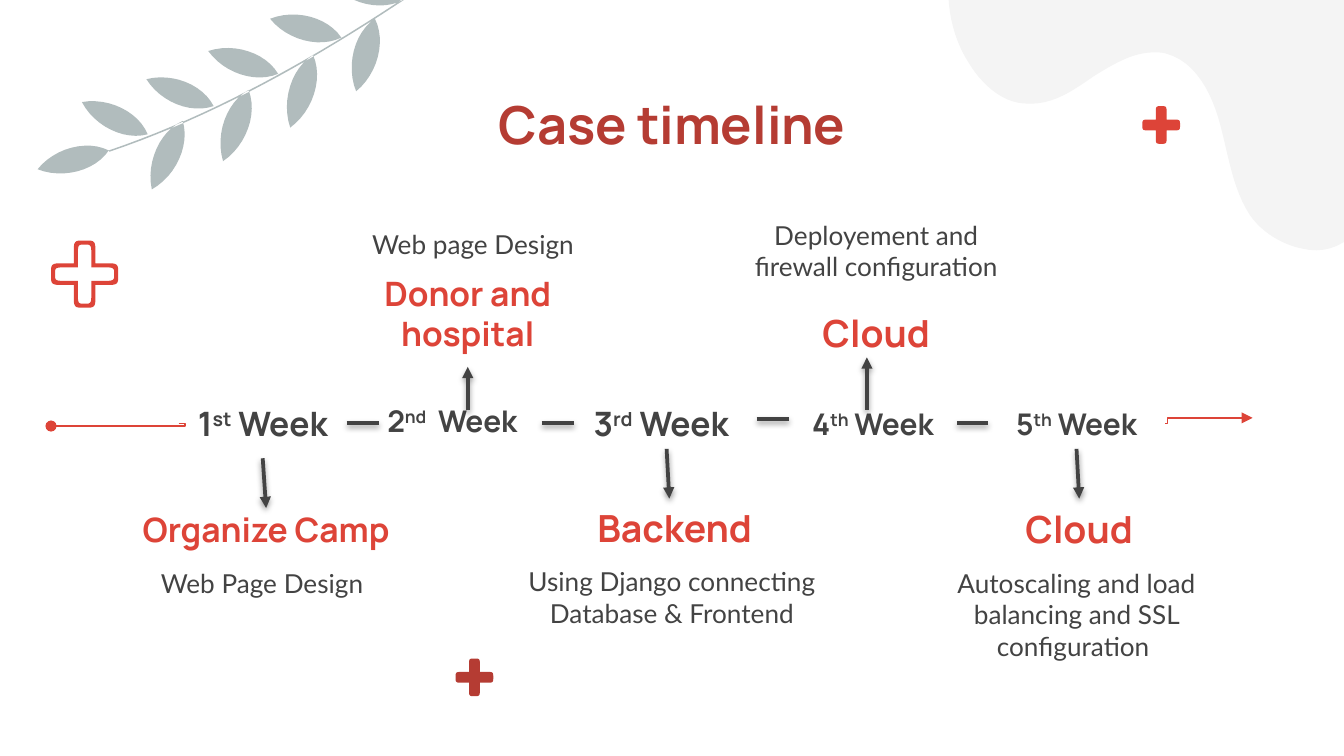
import math

from lxml import etree
from pptx import Presentation
from pptx.dml.color import RGBColor
from pptx.enum import shapes, text
from pptx.oxml import ns
from pptx.util import Inches, Pt

RED = RGBColor(0xDD, 0x44, 0x38)
DARK_RED = RGBColor(0xB5, 0x3C, 0x33)
INK = RGBColor(0x43, 0x43, 0x43)
SAGE = RGBColor(0xB1, 0xBC, 0xBD)
MIST = RGBColor(0xF4, 0xF4, 0xF4)
TOP, LEFT, BOTTOM, RIGHT = range(4)
STRAIGHT = shapes.MSO_CONNECTOR.STRAIGHT
ELBOW = shapes.MSO_CONNECTOR.ELBOW

BLOB_START = (7.06, -0.21)
BLOB_CURVES = [
    ((7.04, 0.03), (7.08, 0.27), (7.21, 0.47)),
    ((7.3, 0.62), (7.45, 0.76), (7.62, 0.77)),
    ((7.84, 0.79), (8, 0.66), (8.15, 0.56)),
    ((8.28, 0.48), (8.43, 0.39), (8.58, 0.39)),
    ((8.62, 0.39), (8.65, 0.39), (8.68, 0.4)),
    ((8.9, 0.46), (9.02, 0.7), (9.08, 0.93)),
    ((9.14, 1.15), (9.17, 1.4), (9.3, 1.6)),
    ((9.39, 1.73), (9.54, 1.82), (9.69, 1.85)),
    ((9.9, 1.9), (10.1, 1.8), (10.24, 1.5)),
]
LEAVES = [
    ((0.81, 1.12), (0.28, 1.26)),
    ((1.1, 1), (0.61, 0.76)), ((1.36, 0.9), (1.13, 1.41)),
    ((1.59, 0.79), (1.09, 0.59)), ((1.85, 0.67), (1.66, 1.2)),
    ((2.07, 0.55), (1.55, 0.38)), ((2.33, 0.41), (2.16, 0.95)),
    ((2.54, 0.28), (2.01, 0.14)), ((2.79, 0.14), (2.65, 0.68)),
    ((3, 0), (2.47, -0.12)),
]
STEM = ((0.81, 1.12), (1.75, 0.8), (2.6, 0.28), (3.5, -0.35))

WEEKS = [
    ("1", "st", " Week", 18, (1.33, 2.89, 1.25, 0.52)),
    ("2", "nd", "  Week", 16, (2.59, 2.84, 1.55, 0.58)),
    ("3", "rd", " Week", 18, (4.16, 2.9, 1.52, 0.49)),
    ("4", "th", " Week", 16, (5.87, 2.9, 1.25, 0.5)),
    ("5", "th", " Week", 16, (7.35, 2.86, 1.32, 0.58)),
]
STEPS = [
    ("Organize Camp", 18, (0.79, 3.78), "Web Page Design", (0.76, 4.12)),
    ("Donor and hospital", 18, (2.29, 2.32), "Web page Design", (2.33, 1.6)),
    ("Backend", 20, (3.83, 3.78),
     "Using Django connecting Database & Frontend", (3.81, 4.11)),
    ("Cloud", 20, (5.33, 2.33),
     "Deployement and firewall configuration", (5.33, 1.53)),
    ("Cloud", 20, (6.84, 3.79),
     "Autoscaling and load balancing and SSL configuration ", (6.82, 4.12)),
]


def set_all(target, values):
    for name, value in values.items():
        setattr(target, name, value)


def add_text(page, at, pieces, size, color, font="Manrope", bold=True,
             anchor=text.MSO_ANCHOR.TOP):
    box = page.shapes.add_textbox(*map(Inches, at))
    frame = box.text_frame
    set_all(frame, {"word_wrap": True, "vertical_anchor": anchor})
    sides = ("left", "right", "top", "bottom")
    set_all(frame, {f"margin_{side}": Inches(0.1) for side in sides})
    para = frame.paragraphs[0]
    para.alignment = text.PP_ALIGN.CENTER
    for words, raised in pieces:
        span = para.add_run()
        span.text = words
        set_all(span.font, {"name": font, "size": Pt(size), "bold": bold})
        span.font.color.rgb = color
        if raised:
            span._r.get_or_add_rPr().set("baseline", "30000")
    return box


def bezier(start, first, second, end, steps=12):
    points = []
    for step in range(steps + 1):
        t = step / steps
        weights = ((1 - t) ** 3, 3 * t * (1 - t) ** 2, 3 * t * t * (1 - t), t ** 3)
        points.append(tuple(
            sum(w * p[axis] for w, p in zip(weights, (start, first, second, end)))
            for axis in (0, 1)))
    return points


def add_outline(page, contours, color):
    scaled = [[(Inches(x), Inches(y)) for x, y in points] for points in contours]
    builder = page.shapes.build_freeform(*scaled[0][0])
    for index, points in enumerate(scaled):
        if index:
            builder.move_to(*points[0])
        builder.add_line_segments(points[1:], close=True)
    shape = builder.convert_to_shape()
    shape.shadow.inherit = False
    shape.fill.solid()
    shape.fill.fore_color.rgb = color
    shape.line.fill.background()


def blob():
    points = [BLOB_START]
    for curve in BLOB_CURVES:
        points += bezier(points[-1], *curve)[1:]
    return points + [(10.24, -0.21)]


def leaf(base, tip, bulge=0.22):
    (x, y), (dx, dy) = base, (tip[0] - base[0], tip[1] - base[1])

    def control(along, side):
        return (x + along * dx - side * dy, y + along * dy + side * dx)

    near, far = 0.25, 0.7
    return (bezier(base, control(near, bulge), control(far, bulge), tip)
            + bezier(tip, control(far, -bulge), control(near, -bulge), base)[1:])


def stem(thickness=0.01):
    edge = bezier(*STEM, steps=24)
    return edge + [(x + thickness / 2, y + thickness) for x, y in reversed(edge)]


def plus(center, half, arm):
    corner = bezier((-arm, -0.75 * half), (-arm, -0.95 * half),
                    (-0.9 * arm, -half), (-0.3 * arm, -half), 6)
    side = [(-arm, -arm)] + corner + [(-x, y) for x, y in reversed(corner)]
    points = []
    for turn in range(4):
        c, s = math.cos(turn * math.pi / 2), math.sin(turn * math.pi / 2)
        points += [(center[0] + x * c - y * s, center[1] + x * s + y * c)
                   for x, y in side]
    return points


def add_line(page, start, end, color=INK, width=2, head=None, bend=None,
             begin=None, finish=None):
    line = page.shapes.add_connector(
        STRAIGHT if bend is None else ELBOW, *map(Inches, (*start, *end)))
    if begin:
        line.begin_connect(*begin)
    if finish:
        line.end_connect(*finish)
    line.line.color.rgb = color
    line.line.width = Pt(width)
    properties = line._element.spPr
    if head:
        etree.SubElement(line.line._get_or_add_ln(), ns.qn("a:tailEnd"), type=head)
    effects = etree.SubElement(properties, ns.qn("a:effectLst"))
    if bend is None:
        shadow = etree.SubElement(
            effects, ns.qn("a:outerShdw"), blurRad=str(Pt(3.1)),
            dist=str(Pt(1.6)), dir="5400000", rotWithShape="0")
        black = etree.SubElement(shadow, ns.qn("a:srgbClr"), val="000000")
        etree.SubElement(black, ns.qn("a:alpha"), val="38000")
    else:
        guides = properties.find(ns.qn("a:prstGeom")).get_or_add_avLst()
        etree.SubElement(guides, ns.qn("a:gd"), name="adj1", fmla=f"val {bend}")


def add_decoration(page):
    add_outline(page, [blob()], MIST)
    add_outline(page, [plus((0.63, 2.04), 0.25, 0.08),
                       plus((0.63, 2.04), 0.22, 0.05)], RED)
    add_outline(page, [stem()] + [leaf(*ends) for ends in LEAVES], SAGE)
    add_outline(page, [plus((3.53, 5.04), 0.14, 0.04)], DARK_RED)
    add_outline(page, [plus((8.64, 0.93), 0.14, 0.04)], RED)


def add_lines(page, weeks, headings):
    add_line(page, (1.33, 3.15), (0.38, 3.17), RED, 0.75, "oval", -5000,
             begin=(weeks[0], LEFT))
    add_line(page, (8.67, 3.15), (9.32, 3.11), RED, 0.75, "triangle", 2400,
             begin=(weeks[4], RIGHT))
    add_line(page, (2.58, 3.15), (2.82, 3.15), begin=(weeks[0], RIGHT))
    add_line(page, (4.03, 3.15), (4.27, 3.15))
    add_line(page, (5.63, 3.12), (5.87, 3.12))
    add_line(page, (7.12, 3.15), (7.35, 3.15),
             begin=(weeks[3], RIGHT), finish=(weeks[4], LEFT))
    add_line(page, (1.95, 3.41), (1.98, 3.78), head="triangle",
             begin=(weeks[0], BOTTOM), finish=(headings[0], TOP))
    add_line(page, (3.48, 3.05), (3.48, 2.73), head="triangle",
             finish=(headings[1], BOTTOM))
    for start, end in [((4.96, 3.34), (4.98, 3.71)), ((8.01, 3.34), (8.03, 3.71)),
                       ((6.45, 3.05), (6.45, 2.66))]:
        add_line(page, start, end, head="triangle")


def main():
    deck = Presentation()
    width = Inches(10)
    set_all(deck, {"slide_width": width, "slide_height": width * 9 // 16})
    page = deck.slides.add_slide(deck.slide_layouts[6])
    add_decoration(page)
    add_text(page, (0.78, 0.59, 8.44, 0.63), [("Case timeline", False)], 28, DARK_RED)
    headings = []
    for heading, size, place, detail, detail_place in STEPS:
        headings.append(add_text(page, (*place, 2.38, 0.41), [(heading, False)],
                                 size, RED, anchor=text.MSO_ANCHOR.BOTTOM))
        add_text(page, (*detail_place, 2.38, 0.58), [(detail, False)],
                 14, INK, "Lato", False)
    weeks = [add_text(page, at, [(number, False), (suffix, True), (word, False)],
                      size, INK, anchor=text.MSO_ANCHOR.MIDDLE)
             for number, suffix, word, size, at in WEEKS]
    add_lines(page, weeks, headings)
    deck.save("out.pptx")


if __name__ == "__main__":
    main()
